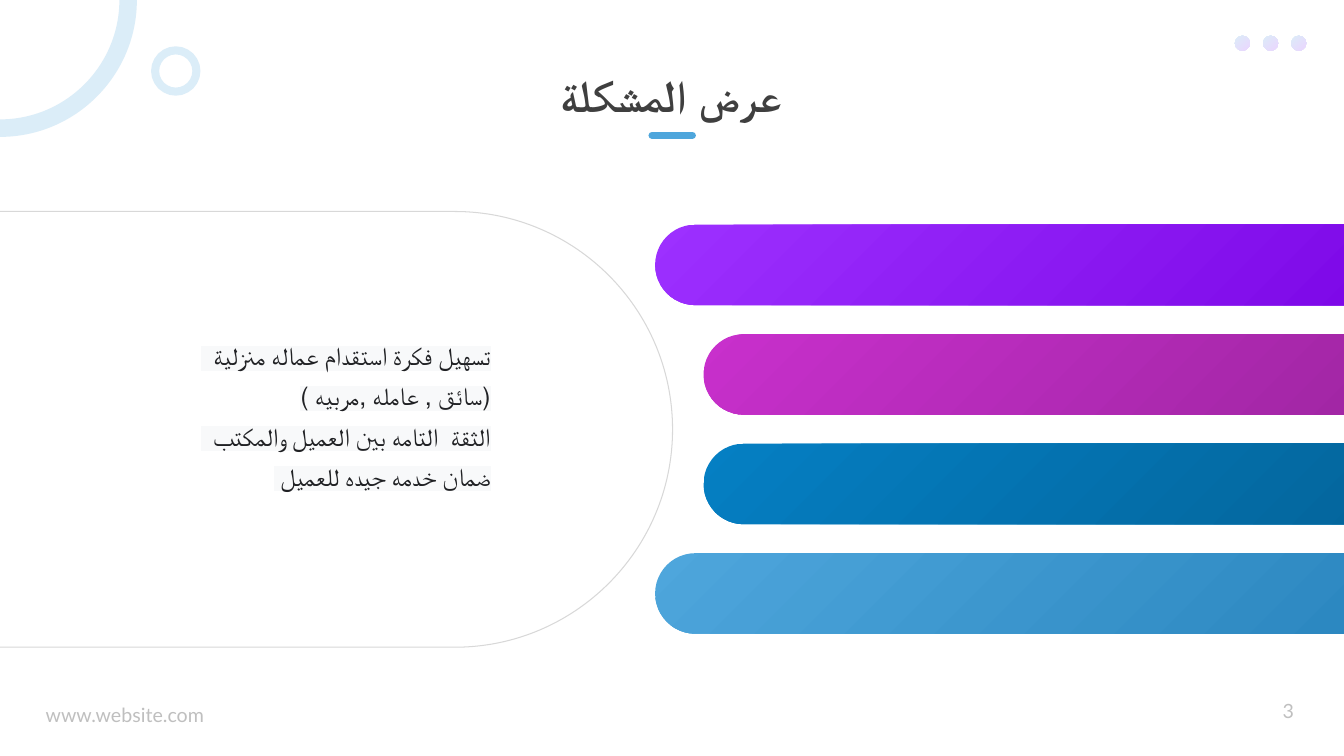
from lxml import etree
from pptx import Presentation
from pptx.dml.color import RGBColor
from pptx.enum.shapes import MSO_CONNECTOR, MSO_SHAPE
from pptx.enum.text import MSO_ANCHOR, MSO_AUTO_SIZE, PP_ALIGN
from pptx.oxml.ns import qn
from pptx.util import Cm, Pt

OVAL, ROUNDED = MSO_SHAPE.OVAL, MSO_SHAPE.ROUNDED_RECTANGLE
STRAIGHT = MSO_CONNECTOR.STRAIGHT
TOP, MIDDLE, BOTTOM = MSO_ANCHOR.TOP, MSO_ANCHOR.MIDDLE, MSO_ANCHOR.BOTTOM
LEFT, CENTER, RIGHT = PP_ALIGN.LEFT, PP_ALIGN.CENTER, PP_ALIGN.RIGHT
NO_AUTOFIT = MSO_AUTO_SIZE.NONE

SKY = RGBColor(0x4E, 0xA6, 0xDC)
SKY_DARK = RGBColor(0x24, 0x81, 0xBA)
VIOLET = RGBColor(0x9D, 0x30, 0xFF)
VIOLET_DARK = RGBColor(0x77, 0x00, 0xE3)
MAGENTA = RGBColor(0xC8, 0x30, 0xCC)
MAGENTA_DARK = RGBColor(0x96, 0x23, 0x99)
BLUE = RGBColor(0x05, 0x7F, 0xC3)
BLUE_DARK = RGBColor(0x03, 0x5F, 0x92)
OUTLINE = RGBColor(0xD8, 0xD8, 0xD8)
FOOTER = RGBColor(0xBF, 0xBF, 0xBF)
HEADING = RGBColor(0x3F, 0x3F, 0x3F)
INK = RGBColor(0x20, 0x21, 0x24)
HIGHLIGHT = RGBColor(0xF8, 0xF9, 0xFA)


def write_text(box, text, font="Lato", size=14, color=FOOTER, bold=False, align=LEFT,
               anchor=MIDDLE, spacing=1.0, rtl=False, highlight=None, inset=0.13):
    """Fill the box with one paragraph per line of text."""
    frame = box.text_frame
    frame.word_wrap = True
    frame.auto_size = NO_AUTOFIT
    frame.vertical_anchor = anchor
    frame.margin_left = frame.margin_right = Cm(0.25)
    frame.margin_top = frame.margin_bottom = Cm(inset)
    frame.text = text
    for paragraph in frame.paragraphs:
        properties = paragraph._p.get_or_add_pPr()
        properties.set("marL", "0")
        properties.set("indent", "0")
        if rtl:
            properties.set("rtl", "1")
        etree.SubElement(properties, qn("a:buNone"))
        paragraph.alignment = align
        paragraph.line_spacing = spacing
        paragraph.space_before = Pt(0)
        for run in paragraph.runs:
            run.font.size = Pt(size)
            run.font.bold = bold
            run.font.color.rgb = color
            if highlight is not None:
                mark = etree.SubElement(run._r.get_or_add_rPr(), qn("a:highlight"))
                etree.SubElement(mark, qn("a:srgbClr"), val=str(highlight))
            run.font.name = font


def paint(shape, gradient=None, angle=315, line=None, width=0.75, opacity=100):
    """Give the shape a two-colour gradient or a plain outline."""
    shape.shadow.inherit = False
    if gradient:
        shape.fill.gradient()
        shape.fill.gradient_angle = angle
        for stop, color in zip(shape.fill.gradient_stops, gradient):
            stop.color.rgb = color
        shape.line.fill.background()
    else:
        shape.fill.background()
        shape.line.color.rgb = line
        shape.line.width = Pt(width)
    if opacity < 100:
        for color in shape._element.spPr.iter(qn("a:srgbClr")):
            etree.SubElement(color, qn("a:alpha"), val=str(opacity * 1000))


prs = Presentation()
prs.slide_width, prs.slide_height = Cm(33.87), Cm(19.05)
slide = prs.slides.add_slide(prs.slide_layouts[1])
shapes = slide.shapes

# Corner arc and half-round panel: points, first segment of each curve, closed, line format
corner = [(3.23, 0), (3.23, 1.78), (1.78, 3.23), (0, 3.23)]
panel = [(-0.63, 5.33), (11.46, 5.33), (14.49, 5.33), (16.95, 7.79), (16.95, 10.82),
         (16.95, 13.85), (14.49, 16.31), (11.46, 16.31), (-0.63, 16.31)]
outlines = [(corner, [0], False, dict(line=SKY, width=12.5, opacity=20)),
            (panel, [1, 4], True, dict(line=OUTLINE))]
for points, curve_starts, closed, line_format in outlines:
    (start_x, start_y), *others = points
    builder = shapes.build_freeform(Cm(start_x), Cm(start_y))
    builder.add_line_segments([(Cm(x), Cm(y)) for x, y in others], close=closed)
    outline = builder.convert_to_shape()
    segments = list(outline._element.iter(qn("a:lnTo")))
    for start in curve_starts:
        curve, *merged = segments[start:start + 3]
        curve.tag = qn("a:cubicBezTo")
        for segment in merged:
            curve.append(segment[0])
            segment.getparent().remove(segment)
    paint(outline, **line_format)

# Ring and dots
ring = shapes.add_shape(OVAL, Cm(3.91), Cm(1.27), Cm(1.04), Cm(1.04))
paint(ring, line=SKY, width=5.75, opacity=20)

for i in range(3):
    dot = shapes.add_shape(OVAL, Cm(31.12 + 0.71 * i), Cm(0.9), Cm(0.38), Cm(0.38))
    paint(dot, gradient=(SKY, VIOLET), angle=310, opacity=20)

# Bars running off the right edge
bars = [(16.51, VIOLET, VIOLET_DARK), (17.73, MAGENTA, MAGENTA_DARK),
        (17.73, BLUE, BLUE_DARK), (16.51, SKY, SKY_DARK)]
for i, (left, light, dark) in enumerate(bars):
    bar = shapes.add_shape(ROUNDED, Cm(left), Cm(5.66 + 2.76 * i), Cm(21.79), Cm(2.03))
    bar.adjustments[0] = 0.5
    paint(bar, gradient=(light, dark))

# Title and its underline
title = shapes.title
title.left, title.top, title.width, title.height = Cm(11.79), Cm(1.57), Cm(10.26), Cm(1.63)
write_text(title, "عرض المشكلة", size=32, color=HEADING, bold=True, align=CENTER,
           anchor=BOTTOM, rtl=True)

underline = shapes.add_connector(STRAIGHT, Cm(16.43), Cm(3.41), Cm(17.45), Cm(3.41))
underline.line.color.rgb = SKY
underline.line.width = Pt(5)
underline.line._get_or_add_ln().set("cap", "rnd")
etree.SubElement(underline._element.spPr, qn("a:effectLst"))

# Problem statement
problem = slide.placeholders[1]
problem.left, problem.top, problem.width, problem.height = Cm(4.29), Cm(8.08), Cm(8.33), Cm(4.37)
problem_lines = [
    "تسهيل فكرة استقدام عماله منزلية  ",
    "(سائق , عامله ,مربيه )",
    "الثقة  التامه بين العميل والمكتب  ",
    "ضمان خدمه جيده للعميل ",
]
write_text(problem, "\n".join(problem_lines), font="Arial", size=18, color=INK, align=RIGHT,
           anchor=TOP, spacing=1.33, rtl=True, highlight=HIGHLIGHT, inset=0.25)

# Footer
website = shapes.add_textbox(Cm(0.9), Cm(17.36), Cm(9.91), Cm(1.09))
write_text(website, "www.website.com", anchor=BOTTOM, spacing=0.9)
page_number = shapes.add_textbox(Cm(30.73), Cm(17.36), Cm(2.13), Cm(1.09))
write_text(page_number, "3", align=RIGHT)

prs.save("out.pptx")
